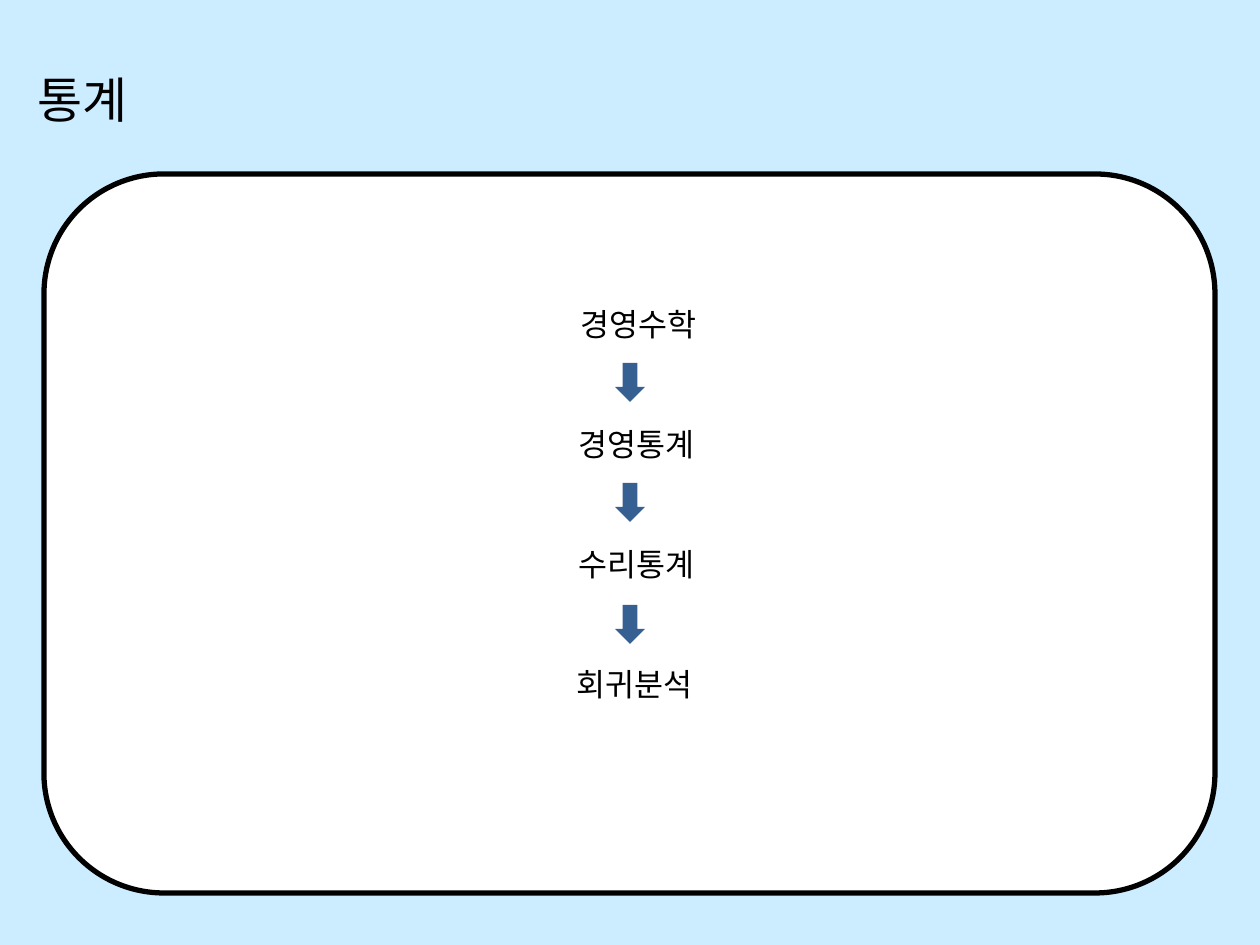
from lxml import etree
from pptx import Presentation
from pptx.dml.color import RGBColor
from pptx.enum.shapes import MSO_SHAPE
from pptx.enum.text import MSO_ANCHOR, MSO_AUTO_SIZE, PP_ALIGN
from pptx.oxml.ns import qn
from pptx.util import Emu, Pt

ROUNDED, DOWN_ARROW = MSO_SHAPE.ROUNDED_RECTANGLE, MSO_SHAPE.DOWN_ARROW
TOP, LEFT = MSO_ANCHOR.TOP, PP_ALIGN.LEFT
GROW = MSO_AUTO_SIZE.SHAPE_TO_FIT_TEXT

SKY = RGBColor(0xCC, 0xEC, 0xFF)
WHITE = RGBColor(0xFF, 0xFF, 0xFF)
BLACK = RGBColor(0x00, 0x00, 0x00)
BLUE = RGBColor(0x37, 0x60, 0x92)
FONT = "Noto Sans CJK KR"
EMU_PER_PX = 914400 / 126


def px(*lengths):
    return [Emu(round(length * EMU_PER_PX)) for length in lengths]


def write(shape, text, size, wrap):
    frame = shape.text_frame
    frame_format = {"word_wrap": wrap, "auto_size": GROW, "vertical_anchor": TOP}
    for name, value in frame_format.items():
        setattr(frame, name, value)
    paragraph = frame.paragraphs[0]
    paragraph.alignment = LEFT
    run = paragraph.add_run()
    run.text = text
    for name, value in {"name": FONT, "size": Pt(size)}.items():
        setattr(run.font, name, value)
    run.font.color.rgb = BLACK
    # Korean text takes the East Asian typeface
    etree.SubElement(run._r.rPr, qn("a:ea"), typeface=FONT)


presentation = Presentation()
presentation.slide_width, presentation.slide_height = px(1260, 945)
slide = presentation.slides.add_slide(presentation.slide_layouts[5])
slide.background.fill.solid()
slide.background.fill.fore_color.rgb = SKY

# Title
title = slide.shapes.title
title.left, title.top, title.width, title.height = px(25, 63, 116, 72)
write(title, "통계", 28, False)

# White panel
panel = slide.shapes.add_shape(ROUNDED, *px(44, 174, 1171, 719))
panel.shadow.inherit = False
panel.fill.solid()
panel.fill.fore_color.rgb = WHITE
panel.line.color.rgb = BLACK
panel.line.width = Pt(3)

# Courses, from first to last
courses = [("경영수학", 568), ("경영통계", 566), ("수리통계", 566), ("회귀분석", 564)]
for index, (course, left) in enumerate(courses):
    box = slide.shapes.add_textbox(*px(left, 299 + 120 * index, 198, 50))
    write(box, course, 18, True)

# Arrows between the courses
for top in (363, 483, 605):
    arrow = slide.shapes.add_shape(DOWN_ARROW, *px(615, top, 30, 39))
    arrow.shadow.inherit = False
    arrow.fill.solid()
    arrow.fill.fore_color.rgb = BLUE
    arrow.line.fill.background()

presentation.save("out.pptx")
